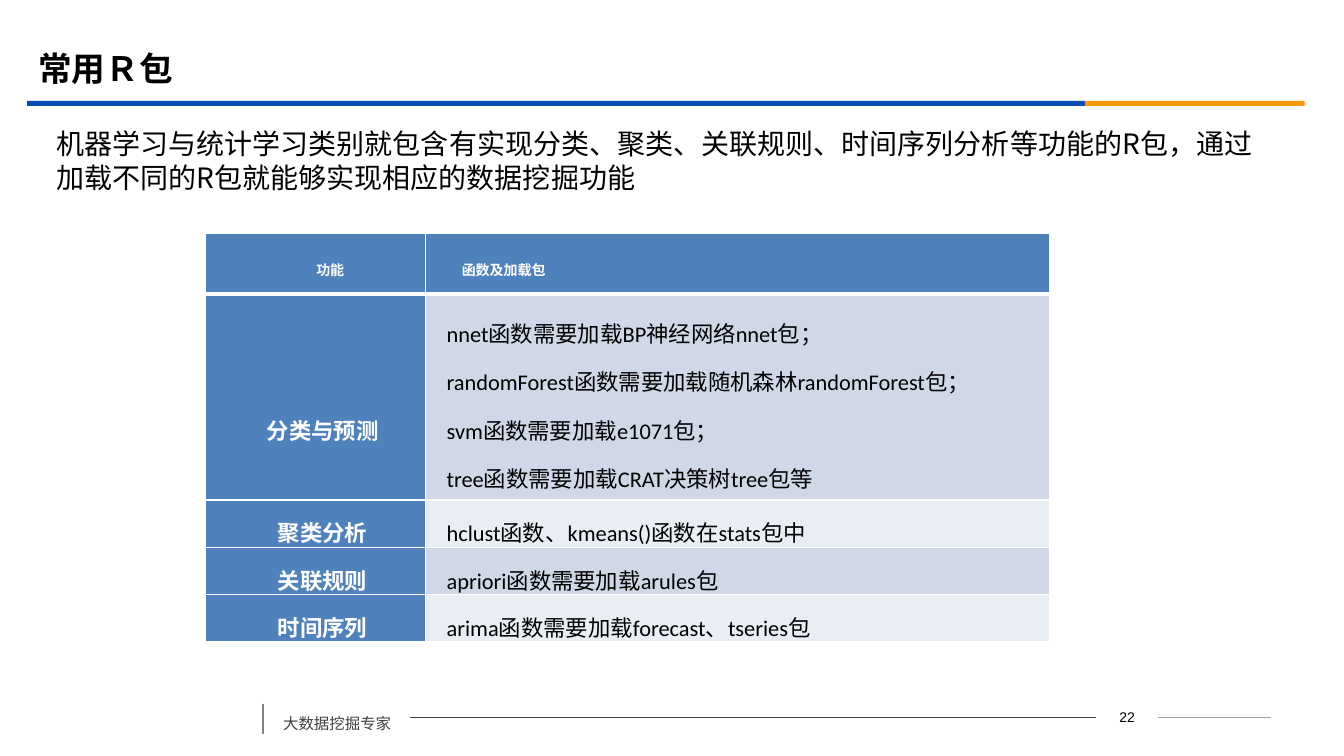
from lxml.etree import SubElement
from pptx import Presentation
from pptx.dml.color import RGBColor
from pptx.enum.shapes import MSO_CONNECTOR, MSO_SHAPE
from pptx.enum.text import MSO_ANCHOR, PP_ALIGN
from pptx.oxml.ns import qn
from pptx.util import Inches, Pt

BLACK = RGBColor(0x00, 0x00, 0x00)
WHITE = RGBColor(0xFF, 0xFF, 0xFF)
BLUE = RGBColor(0x06, 0x4B, 0xB2)
ORANGE = RGBColor(0xFB, 0x97, 0x08)
DARK_GRAY = RGBColor(0x40, 0x40, 0x40)
GRAY = RGBColor(0x80, 0x80, 0x80)
LIGHT_GRAY = RGBColor(0xA0, 0xA0, 0xA0)
HEADER_BLUE = RGBColor(0x4F, 0x81, 0xBD)
BANDS = [RGBColor(0xD0, 0xD8, 0xE8), RGBColor(0xE9, 0xED, 0xF4)]
CJK = "Noto Sans CJK SC"

HEADER = ("功能", ["函数及加载包"])
FUNCTIONS = [
    ("分类与预测", [
        "nnet函数需要加载BP神经网络nnet包；",
        "randomForest函数需要加载随机森林randomForest包；",
        "svm函数需要加载e1071包；",
        "tree函数需要加载CRAT决策树tree包等",
    ]),
    ("聚类分析", ["hclust函数、kmeans()函数在stats包中"]),
    ("关联规则", ["apriori函数需要加载arules包"]),
    ("时间序列", ["arima函数需要加载forecast、tseries包"]),
]
COLUMN_WIDTHS = [2.18, 6.19]
ROW_HEIGHTS = [0.6, 2.04, 0.47, 0.47, 0.47]


def add_run(p, text, size, color, font=CJK, bold=False):
    r = p.add_run()
    r.text = text
    r.font.size = Pt(size)
    r.font.name = font
    r.font.bold = bold
    r.font.color.rgb = color
    SubElement(r._r.get_or_add_rPr(), qn("a:ea")).set("typeface", CJK)


def add_text(s, box, text, size, color, font=CJK, anchor=MSO_ANCHOR.TOP):
    tf = s.shapes.add_textbox(*map(Inches, box)).text_frame
    tf.word_wrap = True
    tf.vertical_anchor = anchor
    p = tf.paragraphs[0]
    add_run(p, text, size, color, font)
    return p


def add_bar(s, left, width, color):
    bar = s.shapes.add_shape(MSO_SHAPE.RECTANGLE, Inches(left), Inches(1),
                             Inches(width), Inches(0.05))
    bar.shadow.inherit = False
    bar.fill.solid()
    bar.fill.fore_color.rgb = color
    bar.line.fill.background()


def add_line(s, start, end, color, width):
    line = s.shapes.add_connector(MSO_CONNECTOR.STRAIGHT,
                                  *map(Inches, start + end))
    line.line.color.rgb = color
    line.line.width = Pt(width)
    SubElement(line._element.spPr, qn("a:effectLst"))


def set_borders(cell, top, bottom):
    """Draw white cell borders, with top and bottom widths in points."""
    tcPr = cell._tc.get_or_add_tcPr()
    widths = {"a:lnL": 1, "a:lnR": 1, "a:lnT": top, "a:lnB": bottom}
    for side, width in widths.items():
        ln = SubElement(tcPr, qn(side), w=str(Pt(width)))
        fill = SubElement(ln, qn("a:solidFill"))
        SubElement(fill, qn("a:srgbClr"), val=str(WHITE))


def fill_cell(cell, lines, size, color, fill, bold, align, indent):
    cell.fill.solid()
    cell.fill.fore_color.rgb = fill
    cell.vertical_anchor = MSO_ANCHOR.MIDDLE
    cell.margin_left = cell.margin_right = Inches(0.07)
    cell.margin_top = cell.margin_bottom = 0
    tf = cell.text_frame
    for i, line in enumerate(lines):
        p = tf.add_paragraph() if i else tf.paragraphs[0]
        p.alignment = align
        p.line_spacing = 1.5
        p._p.get_or_add_pPr().set("indent", str(Inches(indent)))
        add_run(p, line, size, color, "Calibri", bold)


def add_function_table(s):
    table = s.shapes.add_table(
        len(ROW_HEIGHTS), len(COLUMN_WIDTHS), Inches(2.04), Inches(2.32),
        Inches(sum(COLUMN_WIDTHS)), Inches(sum(ROW_HEIGHTS))).table
    for column, width in zip(table.columns, COLUMN_WIDTHS):
        column.width = Inches(width)
    for row, height in zip(table.rows, ROW_HEIGHTS):
        row.height = Inches(height)

    for i, (name, lines) in enumerate([HEADER] + FUNCTIONS):
        header = i == 0
        size, indent = (10, 0.29) if header else (16, 0.14)
        name_cell, lines_cell = table.cell(i, 0), table.cell(i, 1)
        for cell in (name_cell, lines_cell):
            set_borders(cell, 3 if i == 1 else 1, 3 if header else 1)
        fill_cell(name_cell, [name], size, WHITE, HEADER_BLUE, True,
                  PP_ALIGN.CENTER, indent)
        fill_cell(lines_cell, lines, size, WHITE if header else BLACK,
                  HEADER_BLUE if header else BANDS[(i - 1) % 2], header,
                  PP_ALIGN.LEFT, indent)
    # The first category sits below the middle of its tall row.
    table.cell(1, 0).margin_top = Inches(0.48)


def set_title(s, text):
    title = s.shapes.title
    title.left, title.top = Inches(0.28), Inches(0.39)
    title.width, title.height = Inches(12), Inches(0.58)
    tf = title.text_frame
    tf.vertical_anchor = MSO_ANCHOR.MIDDLE
    p = tf.paragraphs[0]
    p.alignment = PP_ALIGN.LEFT
    add_run(p, text, 24, BLACK, bold=True)


def add_footer(s):
    p = add_text(s, (10.87, 6.99, 0.62, 0.25), "22", 10, BLACK, "Arial",
                 MSO_ANCHOR.MIDDLE)
    p.alignment = PP_ALIGN.CENTER
    add_line(s, (11.49, 7.12), (12.61, 7.12), LIGHT_GRAY, 0.75)
    add_line(s, (4.07, 7.12), (10.87, 7.12), DARK_GRAY, 0.75)
    add_line(s, (2.61, 6.98), (2.61, 7.28), GRAY, 1.25)
    p = add_text(s, (2.71, 6.94, 1.36, 0.38), "大数据挖掘专家", 11, DARK_GRAY)
    p.line_spacing = 1.5
    p.space_before = Pt(6)


def main():
    prs = Presentation()
    prs.slide_width, prs.slide_height = Inches(13.33), Inches(7.5)
    s = prs.slides.add_slide(prs.slide_layouts[5])
    set_title(s, "常用Ｒ包")
    add_bar(s, 0.27, 10.49, BLUE)
    add_bar(s, 10.76, 2.18, ORANGE)
    add_text(s, (0.46, 1.24, 12.15, 0.7),
             "机器学习与统计学习类别就包含有实现分类、聚类、关联规则、"
             "时间序列分析等功能的R包，通过加载不同的R包就能够实现相应的"
             "数据挖掘功能", 20, BLACK, anchor=MSO_ANCHOR.MIDDLE)
    add_function_table(s)
    add_footer(s)
    prs.save("out.pptx")


if __name__ == "__main__":
    main()
